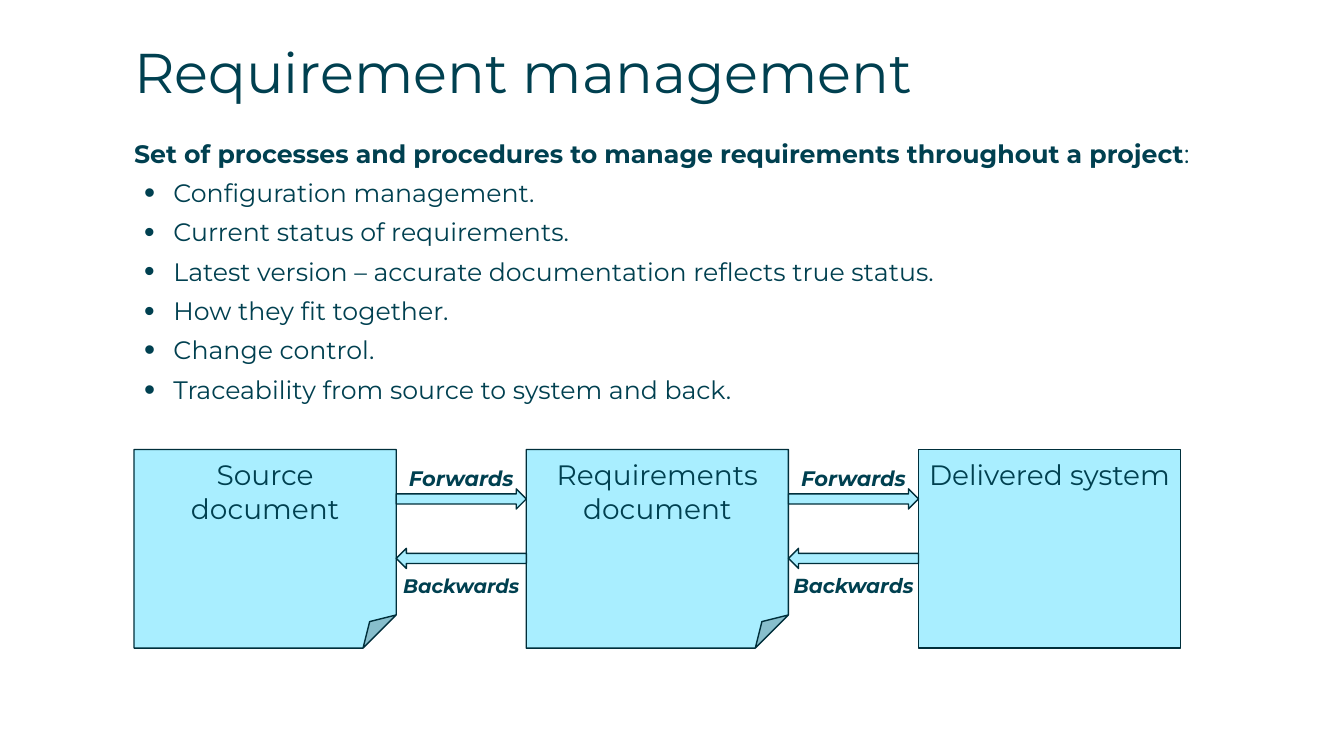
"""Build the requirement management slide with its traceability diagram."""
from dataclasses import dataclass

from lxml import etree
from pptx import Presentation
from pptx import util as u
from pptx.dml.color import RGBColor
from pptx.enum import shapes, text
from pptx.oxml.ns import qn

PX = 9144
FONT = "Montserrat"
INK = RGBColor(0x00, 0x40, 0x50)
OUTLINE = RGBColor(0x00, 0x2F, 0x3B)
AQUA = RGBColor(0xA9, 0xEE, 0xFF)

STAGE_LEFT, STAGE_TOP, STAGE_WIDTH, STAGE_HEIGHT = 133, 446, 260, 197
STAGE_PITCH = 389
GAP = STAGE_PITCH - STAGE_WIDTH
ARROW_HEIGHT = 20


@dataclass(frozen=True)
class Stage:
    lines: tuple[str, ...]
    outline: shapes.MSO_SHAPE


@dataclass(frozen=True)
class Trace:
    label: str
    arrow: shapes.MSO_SHAPE
    arrow_top: int
    label_top: int
    overhang: int
    sizes: tuple[float, float]


STAGES = (
    Stage(("Source document",), shapes.MSO_SHAPE.FOLDED_CORNER),
    Stage(("Requirements", "document"), shapes.MSO_SHAPE.FOLDED_CORNER),
    Stage(("Delivered system",), shapes.MSO_SHAPE.FLOWCHART_PROCESS),
)
TRACES = (
    Trace("Forwards", shapes.MSO_SHAPE.RIGHT_ARROW, 485, 457, 0, (15, 15)),
    Trace("Backwards", shapes.MSO_SHAPE.LEFT_ARROW, 544, 564, 6, (14, 14.5)),
)
HEADING = "Set of processes and procedures to manage requirements throughout a project"
ACTIVITIES = (
    (1, "Configuration management."),
    (2, "Current status of requirements."),
    (2, "Latest version – accurate documentation reflects true status."),
    (2, "How they fit together."),
    (1, "Change control."),
    (1, "Traceability from source to system and back."),
)


def px(*lengths: int) -> list[int]:
    return [length * PX for length in lengths]


def write(paragraph, content: str, *, size: float, bold: bool = False,
          italic: bool = False, align=text.PP_ALIGN.LEFT) -> None:
    paragraph.alignment = align
    run = paragraph.add_run()
    run.text = content
    font = run.font
    font.name, font.size, font.bold, font.italic = FONT, u.Pt(size), bold, italic
    font.color.rgb = INK


def set_margins(frame, margin: int) -> None:
    frame.margin_left = frame.margin_top = margin * PX
    frame.margin_right = frame.margin_bottom = margin * PX


def place(placeholder, left: int, top: int, width: int, height: int):
    placeholder.left, placeholder.top, placeholder.width, placeholder.height = px(
        left, top, width, height)
    frame = placeholder.text_frame
    frame.word_wrap = True
    frame.auto_size = text.MSO_AUTO_SIZE.NONE
    set_margins(frame, 0)
    return frame


def set_bullet(paragraph, level: int) -> None:
    properties = paragraph._p.get_or_add_pPr()
    hanging = (39, -29) if level else (0, 0)
    for key, length in zip(("marL", "indent"), px(*hanging)):
        properties.set(key, str(length))
    if not level:
        etree.SubElement(properties, qn("a:buNone"))
        return
    paragraph.level = level
    percent = 125 if level == 1 else 120
    etree.SubElement(properties, qn("a:buSzPct")).set("val", str(percent * 1000))
    etree.SubElement(properties, qn("a:buFont")).set("typeface", "Arial")
    etree.SubElement(properties, qn("a:buChar")).set("char", "•")


def add_activities(frame) -> None:
    for level, content in ((0, HEADING), *ACTIVITIES):
        paragraph = frame.add_paragraph() if level else frame.paragraphs[0]
        set_bullet(paragraph, level)
        paragraph.space_before, paragraph.space_after = u.Pt(0), u.Pt(6.5)
        write(paragraph, content, size=18, bold=not level)
        if not level:
            write(paragraph, ":", size=18)


def add_block(slide, outline, left: int, top: int, width: int, height: int):
    block = slide.shapes.add_shape(outline, *px(left, top, width, height))
    block.shadow.inherit = False
    block.fill.solid()
    block.fill.fore_color.rgb = AQUA
    block.line.color.rgb = OUTLINE
    block.line.width = u.Pt(1)
    return block


def add_stage(slide, stage: Stage, left: int) -> None:
    block = add_block(slide, stage.outline, left, STAGE_TOP, STAGE_WIDTH, STAGE_HEIGHT)
    frame = block.text_frame
    frame.word_wrap = True
    frame.vertical_anchor = text.MSO_ANCHOR.TOP
    set_margins(frame, 8)
    for number, line in enumerate(stage.lines):
        paragraph = frame.add_paragraph() if number else frame.paragraphs[0]
        write(paragraph, line, size=20, align=text.PP_ALIGN.CENTER)


def add_trace(slide, trace: Trace, left: int, size: float) -> None:
    add_block(slide, trace.arrow, left, trace.arrow_top, GAP, ARROW_HEIGHT)
    label = slide.shapes.add_textbox(*px(
        left - trace.overhang, trace.label_top, GAP + 2 * trace.overhang, 35))
    frame = label.text_frame
    frame.word_wrap = True
    frame.auto_size = text.MSO_AUTO_SIZE.SHAPE_TO_FIT_TEXT
    write(frame.paragraphs[0], trace.label, size=size, bold=True, italic=True,
          align=text.PP_ALIGN.CENTER)


def main() -> None:
    deck = Presentation()
    deck.slide_width, deck.slide_height = px(1333, 750)
    slide = deck.slides.add_slide(deck.slide_layouts[1])

    title = place(slide.shapes.title, 133, 33, 1158, 75)
    title.vertical_anchor = text.MSO_ANCHOR.MIDDLE
    write(title.paragraphs[0], "Requirement management", size=40)
    add_activities(place(slide.placeholders[1], 133, 137, 1119, 398))

    for number, stage in enumerate(STAGES):
        add_stage(slide, stage, STAGE_LEFT + number * STAGE_PITCH)
    for trace in TRACES:
        for number, size in enumerate(trace.sizes):
            gap_left = STAGE_LEFT + STAGE_WIDTH + number * STAGE_PITCH
            add_trace(slide, trace, gap_left, size)
    deck.save("out.pptx")


if __name__ == "__main__":
    main()
